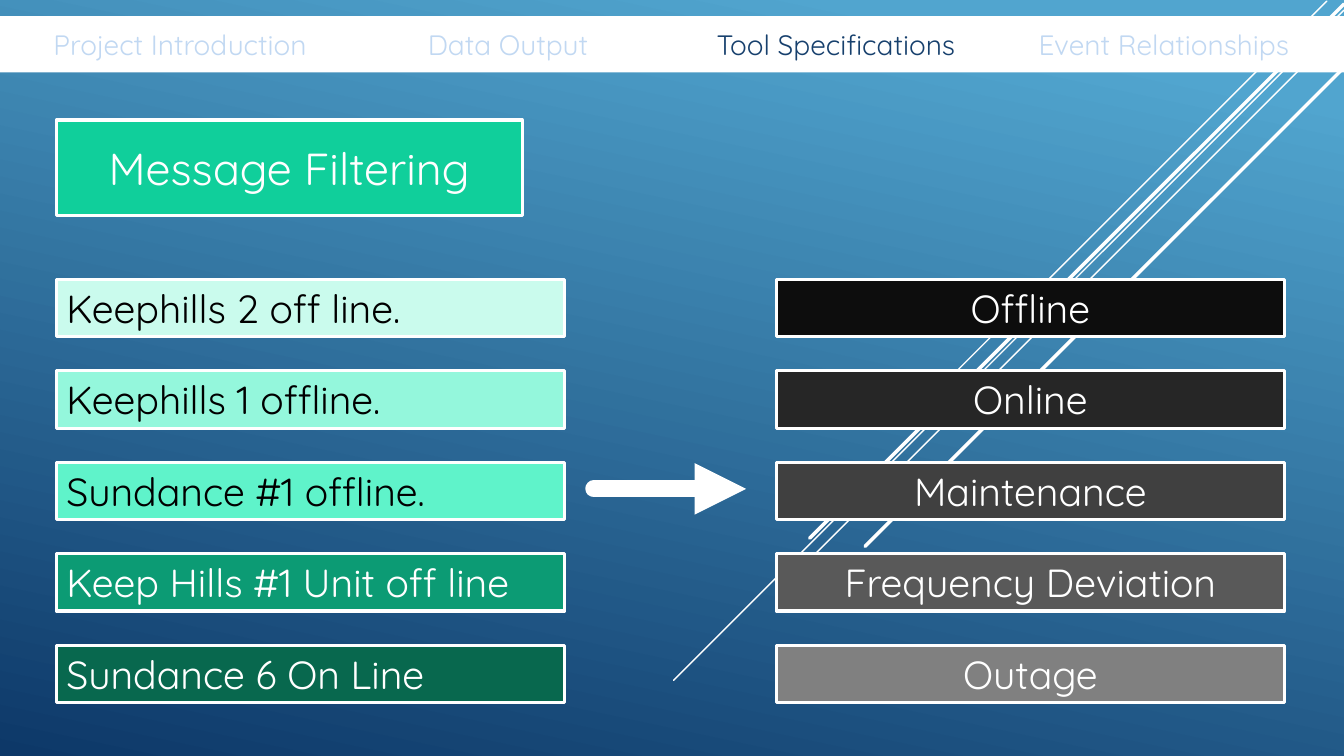
from collections import namedtuple
from dataclasses import dataclass

from lxml.etree import SubElement
from pptx import Presentation
from pptx.dml.color import RGBColor
from pptx.enum.shapes import MSO_CONNECTOR, MSO_SHAPE
from pptx.enum.text import MSO_ANCHOR, MSO_AUTO_SIZE, PP_ALIGN
from pptx.oxml.ns import qn
from pptx.util import Inches, Pt

Box = namedtuple("Box", "left top width height")


@dataclass(frozen=True)
class Theme:
    font: str = "Quicksand"
    tab_size: float = 20
    title_size: float = 32
    row_size: float = 28
    outline: float = 2.25
    white: str = "FFFFFF"
    black: str = "000000"
    sky: str = "51A5CF"
    navy: str = "0D3868"
    tab: str = "C1D8F2"
    active_tab: str = "17406D"
    title: str = "10CF9B"
    greens: tuple = ("CAFBED", "94F7DC", "5FF3CA", "0C9B74", "08684E")
    grays: tuple = ("0D0D0D", "262626", "404040", "595959", "808080")


THEME = Theme()
TABS = ("Project Introduction", "Data Output", "Tool Specifications", "Event Relationships")
MESSAGES = (
    "Keephills 2 off line.",
    "Keephills 1 offline.",
    "Sundance #1 offline.",
    "Keep Hills #1 Unit off line",
    "Sundance 6 On Line",
)
CATEGORIES = ("Offline", "Online", "Maintenance", "Frequency Deviation", "Outage")
MESSAGE_INKS = (THEME.black,) * 3 + (THEME.white,) * 2
CATEGORY_INKS = (THEME.white,) * 5


def color(value):
    return RGBColor.from_string(value)


def write(shape, text, size, ink, alignment=PP_ALIGN.CENTER, anchor=MSO_ANCHOR.TOP, grow=True):
    frame = shape.text_frame
    frame.word_wrap = True
    frame.vertical_anchor = anchor
    frame.auto_size = MSO_AUTO_SIZE.SHAPE_TO_FIT_TEXT if grow else MSO_AUTO_SIZE.NONE
    paragraph = frame.paragraphs[0]
    paragraph.text = text
    paragraph.alignment = alignment
    paragraph.font.name = THEME.font
    paragraph.font.size = Pt(size)
    paragraph.font.color.rgb = color(ink)


def add_rectangle(slide, box, fill, outlined=True):
    shape = slide.shapes.add_shape(MSO_SHAPE.RECTANGLE, *map(Inches, box))
    shape.shadow.inherit = False
    shape.fill.solid()
    shape.fill.fore_color.rgb = color(fill)
    if outlined:
        shape.line.color.rgb = color(THEME.white)
        shape.line.width = Pt(THEME.outline)
    else:
        shape.line.fill.background()
    return shape


def add_line(slide, start, end, width, arrow=False):
    connector = slide.shapes.add_connector(MSO_CONNECTOR.STRAIGHT, *map(Inches, start + end))
    connector.line.color.rgb = color(THEME.white)
    connector.line.width = Pt(width)
    properties = connector.line._get_or_add_ln()
    properties.set("cap", "rnd")
    if arrow:
        SubElement(properties, qn("a:tailEnd"), type="triangle")
    SubElement(connector._element.spPr, qn("a:effectLst"))


def paint_background(slide):
    fill = slide.background.fill
    fill.gradient()
    fill.gradient_angle = 258
    for stop, position, value in zip(fill.gradient_stops, (0.1, 1), (THEME.sky, THEME.navy)):
        stop.position = position
        stop.color.rgb = color(value)


def add_diagonals(slide, box):
    right = box.left + box.width
    diagonals = (
        (0.17, 0.01, 4.17, 1),
        (0, 0.1, 6.65, 1),
        (0, 0.25, 5.42, 1),
        (0, 0.04, 5.3, 2.5),
        (0, 0.67, 4.75, 2.5),
    )
    for inset, drop, run, width in diagonals:
        start = (right - inset, box.top + drop)
        add_line(slide, start, (start[0] - run, start[1] + run), width)


def add_navigation(slide, box, tabs, active):
    add_rectangle(slide, box, THEME.white, outlined=False)
    margin, height = 0.16, 0.44
    width = (box.width - 2 * margin) / len(tabs)
    top = box.top + (box.height - height) / 2
    for index, label in enumerate(tabs):
        left = box.left + margin + index * width
        tab = slide.shapes.add_textbox(*map(Inches, (left, top, width, height)))
        write(tab, label, THEME.tab_size, THEME.active_tab if label == active else THEME.tab)


def add_title(slide, box, text):
    title = add_rectangle(slide, box, THEME.title)
    write(title, text, THEME.title_size, THEME.white, anchor=MSO_ANCHOR.MIDDLE, grow=False)


def add_rows(slide, box, labels, fills, inks, alignment):
    height = 0.57
    pitch = (box.height - height) / (len(labels) - 1)
    for index, (label, fill, ink) in enumerate(zip(labels, fills, inks)):
        row_box = Box(box.left, box.top + index * pitch, box.width, height)
        row = add_rectangle(slide, row_box, fill)
        write(row, label, THEME.row_size, ink, alignment)


def add_arrow(slide, box):
    middle = box.top + box.height / 2
    add_line(slide, (box.left, middle), (box.left + box.width, middle), 12.25, arrow=True)


def build_filtering_slide(presentation, box):
    slide = presentation.slides.add_slide(presentation.slide_layouts[6])
    paint_background(slide)
    add_diagonals(slide, box)
    add_navigation(slide, Box(box.left, box.top + 0.16, box.width, 0.56), TABS, "Tool Specifications")
    add_title(slide, Box(box.left + 0.56, box.top + 1.19, 4.62, 0.95), "Message Filtering")
    messages = Box(box.left + 0.56, box.top + 2.77, 5.04, 4.2)
    add_rows(slide, messages, MESSAGES, THEME.greens, MESSAGE_INKS, PP_ALIGN.LEFT)
    categories = messages._replace(left=box.left + 7.7)
    add_rows(slide, categories, CATEGORIES, THEME.grays, CATEGORY_INKS, PP_ALIGN.CENTER)
    add_arrow(slide, Box(box.left + 5.89, box.top + 4.6, 1.51, 0.5))


presentation = Presentation()
page = Box(0, 0, 13.33, 7.5)
presentation.slide_width = Inches(page.width)
presentation.slide_height = Inches(page.height)
build_filtering_slide(presentation, page)
presentation.save("out.pptx")
